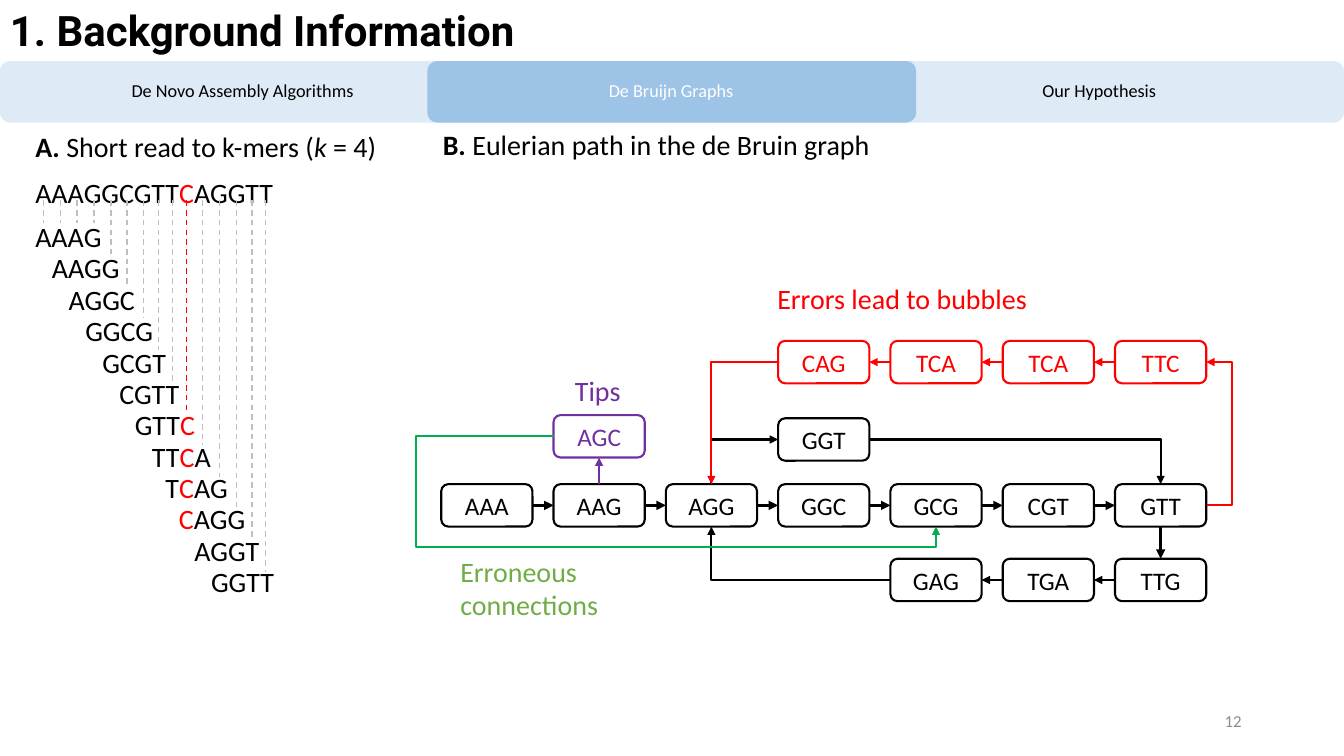
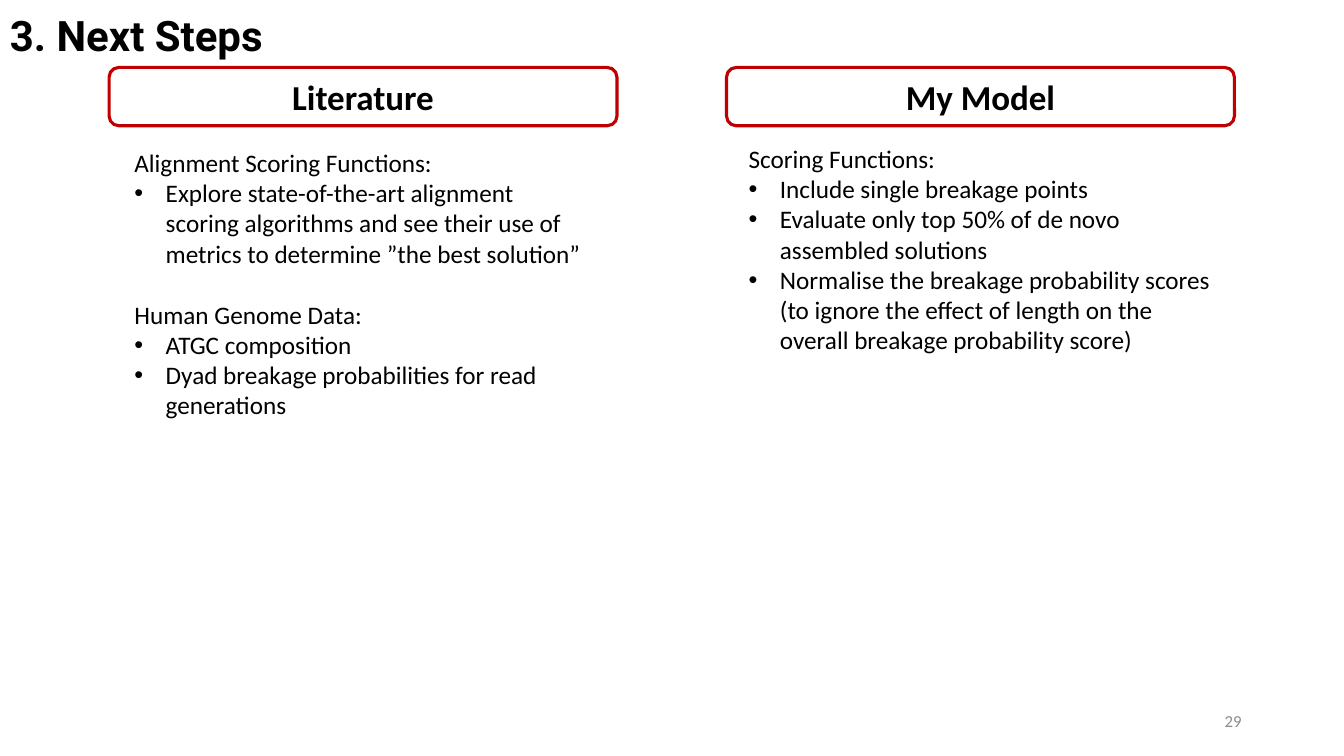
from itertools import groupby

from pptx import Presentation
from pptx.dml.color import RGBColor
from pptx.enum.dml import MSO_LINE
from pptx.enum.shapes import MSO_CONNECTOR as Wire, MSO_SHAPE as Form
from pptx.enum.text import MSO_ANCHOR as Anchor, PP_ALIGN as Align
from pptx.oxml.ns import qn
from pptx.oxml.xmlchemy import OxmlElement as Tag
from pptx.util import Cm, Pt

BLACK, WHITE, GRAY, RED = "000000", "FFFFFF", "8C8C8C", "FF0000"
DASH, PURPLE, GREEN, LEAF = "BFBFBF", "7030A0", "00B050", "70AD47"
PALE, BLUE, FRAME = "DEEBF7", "9DC3E6", "C00000"
BASE = {"name": "Calibri", "size": Pt(20), "color": BLACK}
TITLE = {"name": "Roboto", "size": Pt(30), "bold": True}
TAB = {"size": Pt(13)}
NODE = {"size": Pt(18)}
HEAD = {"size": Pt(25), "bold": True}
PAGE = {"size": Pt(12), "color": GRAY}
TOP, LEFT, BOTTOM, RIGHT = range(4)

READ, SIZE, ERROR = "AAAGGCGTTCAGGTT", 4, 9
WIDTHS = {"A": 0.42, "C": 0.39, "G": 0.43, "T": 0.34}
TABS = [
    (2.61, "De Novo Assembly Algorithms", BLACK),
    (13.41, "De Bruijn Graphs", WHITE),
    (24.2, "Our Hypothesis", BLACK),
]
ROWS = {
    "main": (12.2, 0, "AAA AAG AGG GGC GCG CGT GTT", BLACK),
    "low": (14.08, 4, "GAG TGA TTG", BLACK),
    "mid": (10.54, 3, "GGT", BLACK),
    "error": (8.59, 3, "CAG TCA TCA TTC", RED),
    "tip": (10.46, 1, "AGC", PURPLE),
}
LEFT_TEXT = [
    ("Alignment Scoring Functions:", False),
    ("Explore state-of-the-art alignment scoring algorithms and see their use of "
     "metrics to determine ”the best solution”", True),
    ("Human Genome Data:", False),
    ("ATGC composition", True),
    ("Dyad breakage probabilities for read generations", True),
]
RIGHT_TEXT = [
    ("Scoring Functions:", False),
    ("Include single breakage points", True),
    ("Evaluate only top 50% of de novo assembled solutions", True),
    ("Normalise the breakage probability scores (to ignore the effect of length "
     "on the overall breakage probability score)", True),
]


def tint(code):
    """Turn a hex string into a colour."""
    return RGBColor.from_string(code)


def style(font, form):
    """Apply a dict of format values to a font."""
    for key, value in {**BASE, **form}.items():
        if key == "color":
            font.color.rgb = tint(value)
        else:
            setattr(font, key, value)


def write(para, runs, form, align=Align.LEFT):
    """Write runs of (text, extra format) into a paragraph."""
    para.alignment = align
    for text, extra in runs:
        run = para.add_run()
        run.text = text
        style(run.font, {**form, **extra})


def label(slide, spot, runs, form={}, align=Align.LEFT, anchor=Anchor.TOP):
    """Add a text box with one paragraph and return its frame."""
    frame = slide.shapes.add_textbox(*map(Cm, spot)).text_frame
    frame.word_wrap = True
    frame.vertical_anchor = anchor
    if isinstance(runs, str):
        runs = [(runs, {})]
    write(frame.paragraphs[0], runs, form, align)
    return frame


def block(slide, spot, text="", form={}, fill=None, edge=None, width=1.5):
    """Add a rounded box with centred text."""
    shape = slide.shapes.add_shape(Form.ROUNDED_RECTANGLE, *map(Cm, spot))
    shape.shadow.inherit = False
    if fill:
        shape.fill.solid()
        shape.fill.fore_color.rgb = tint(fill)
    else:
        shape.fill.background()
    if edge:
        shape.line.color.rgb = tint(edge)
        shape.line.width = Pt(width)
    else:
        shape.line.fill.background()
    if text:
        shape.text_frame.vertical_anchor = Anchor.MIDDLE
        write(shape.text_frame.paragraphs[0], [(text, {})], form, Align.CENTER)
    return shape


def wire(slide, color, width, ends=(0, 0, 0, 0), kind=Wire.STRAIGHT):
    """Add a plain connector without shadow."""
    line = slide.shapes.add_connector(kind, *map(Cm, ends))
    line.line.color.rgb = tint(color)
    line.line.width = Pt(width)
    line.element.spPr.append(Tag("a:effectLst"))
    return line


def link(slide, start, end, color=BLACK, width=1.5, bend=None, turns=(), tip="tail"):
    """Join two (node, side) pairs with an arrow, bent if asked."""
    kind = Wire.ELBOW if bend else Wire.STRAIGHT
    line = wire(slide, color, width, kind=kind)
    line.begin_connect(*start)
    line.end_connect(*end)
    part = line.element.spPr
    if bend:
        shape = part.find(qn("a:prstGeom"))
        shape.set("prst", f"bentConnector{bend}")
        for index, turn in enumerate(turns, 1):
            guide = Tag("a:gd")
            guide.set("name", f"adj{index}" if len(turns) > 1 else "adj1")
            guide.set("fmla", f"val {round(turn * 100000)}")
            shape.find(qn("a:avLst")).append(guide)
    arrow = Tag(f"a:{tip}End")
    arrow.set("type", "triangle")
    part.find(qn("a:ln")).append(arrow)
    return line


def bullet(para):
    """Give a paragraph a hanging bullet."""
    props = para._p.get_or_add_pPr()
    props.set("marL", str(Cm(0.79)))
    props.set("indent", str(-Cm(0.79)))
    for name, key, value in (("buFont", "typeface", "Arial"), ("buChar", "char", "•")):
        mark = Tag(f"a:{name}")
        mark.set(key, value)
        props.append(mark)


def points(slide, spot, items):
    """Add headings and bullets, with a gap before later headings."""
    frame = block(slide, spot).text_frame
    frame.vertical_anchor = Anchor.TOP
    for index, (text, marked) in enumerate(items):
        para = frame.add_paragraph() if index else frame.paragraphs[0]
        write(para, [(text, {})], NODE)
        if marked:
            bullet(para)
        elif index:
            para.space_before = Pt(22)


def begin(deck, title, top, page):
    """Add a slide with its title and page number."""
    slide = deck.slides.add_slide(deck.slide_layouts[6])
    label(slide, (0, top, 23, 1.55), title, TITLE)
    label(slide, (23.92, 17.66, 7.62, 1.01), page, PAGE, Align.RIGHT, Anchor.MIDDLE)
    return slide


def tabs(slide):
    """Draw the section band with the middle tab lit."""
    block(slide, (0, 1.54, 33.87, 1.55), fill=PALE)
    block(slide, (10.77, 1.54, 12.32, 1.55), fill=BLUE)
    for left, text, color in TABS:
        label(slide, (left, 1.88, 7, 0.81), text, {**TAB, "color": color}, Align.CENTER)


def letters(first, last):
    """Split part of the read into runs, with the error in red."""
    groups = groupby(range(first, last), lambda spot: spot == ERROR)
    return [("".join(READ[spot] for spot in spots), {"color": RED if wrong else BLACK})
            for wrong, spots in groups]


def kmers(slide):
    """Lay out the read, its k-mers and the guide lines."""
    label(slide, (0.64, 4.29, 7, 1.12), letters(0, len(READ)))
    left = 0.64
    for index, base in enumerate(READ):
        if index + SIZE <= len(READ):
            label(slide, (left, 5.41 + 0.79 * index, 2.6, 1.12),
                  letters(index, index + SIZE))
        x = left + 0.25 + WIDTHS[base] / 2
        end = 5.61 + 0.8 * max(0, index + 1 - SIZE)
        line = wire(slide, RED if index == ERROR else DASH, 1, (x, 5.05, x, end))
        line.line.dash_style = MSO_LINE.DASH
        left += WIDTHS[base]


def graph(slide):
    """Draw the nodes and edges of the graph."""
    rows = {
        name: [block(slide, (11.12 + 2.83 * (col + step), top, 2.3, 1.07), text,
                     {**NODE, "color": color}, edge=color)
               for step, text in enumerate(texts.split())]
        for name, (top, col, texts, color) in ROWS.items()
    }
    main, low, error = rows["main"], rows["low"], rows["error"]
    mid, tip = rows["mid"][0], rows["tip"][0]
    aag, agg, gcg, gtt = main[1], main[2], main[4], main[6]
    for one, two in zip(main, main[1:]):
        link(slide, (one, RIGHT), (two, LEFT), width=2.25)
    for row, color in ((low, BLACK), (error, RED)):
        for one, two in zip(row, row[1:]):
            link(slide, (two, LEFT), (one, RIGHT), color)
    link(slide, (gtt, BOTTOM), (low[2], TOP), width=2.25)
    link(slide, (aag, TOP), (tip, BOTTOM), PURPLE)
    link(slide, (mid, LEFT), (agg, TOP), bend=2, tip="head")
    link(slide, (mid, RIGHT), (gtt, TOP), bend=2)
    link(slide, (low[0], LEFT), (agg, BOTTOM), bend=2)
    link(slide, (error[0], LEFT), (agg, TOP), RED, bend=2)
    loop = link(slide, (gtt, RIGHT), (error[3], RIGHT), RED, bend=3, turns=(-64,))
    loop.begin_x = loop.end_x + Cm(0.01)
    link(slide, (tip, LEFT), (gcg, BOTTOM), GREEN, bend=4, turns=(-0.36, 1.23))


def main():
    """Build and save both slides."""
    deck = Presentation()
    deck.slide_width, deck.slide_height = Cm(33.87), Cm(19.05)

    slide = begin(deck, "1. Background Information", 0, "12")
    tabs(slide)
    bold, slant = {"bold": True}, {"italic": True}
    label(slide, (0.64, 3.14, 10, 1.12),
          [("A. ", bold), ("Short read to k-mers (", {}), ("k ", slant), ("= 4)", {})])
    label(slide, (10.91, 3.1, 13, 1.12),
          [("B. ", bold), ("Eulerian path in the de Bruin graph", {})])
    kmers(slide)
    graph(slide)
    label(slide, (19.34, 6.97, 7.5, 1.12), "Errors lead to bubbles", {"color": RED})
    label(slide, (14.24, 9.28, 2.5, 1.12), "Tips", {"color": PURPLE})
    frame = label(slide, (11.35, 13.84, 4.5, 1.96), "Erroneous", {"color": LEAF})
    write(frame.add_paragraph(), [("connections", {})], {"color": LEAF})

    slide = begin(deck, "3. Next Steps", 0.12, "29")
    for left, text in ((2.75, "Literature"), (18.31, "My Model")):
        block(slide, (left, 1.7, 12.8, 1.47), text, HEAD, edge=FRAME, width=2.25)
    points(slide, (2.75, 3.2, 12.8, 7.95), LEFT_TEXT)
    points(slide, (18.31, 3.18, 12.8, 6.25), RIGHT_TEXT)
    deck.save("out.pptx")


if __name__ == "__main__":
    main()
